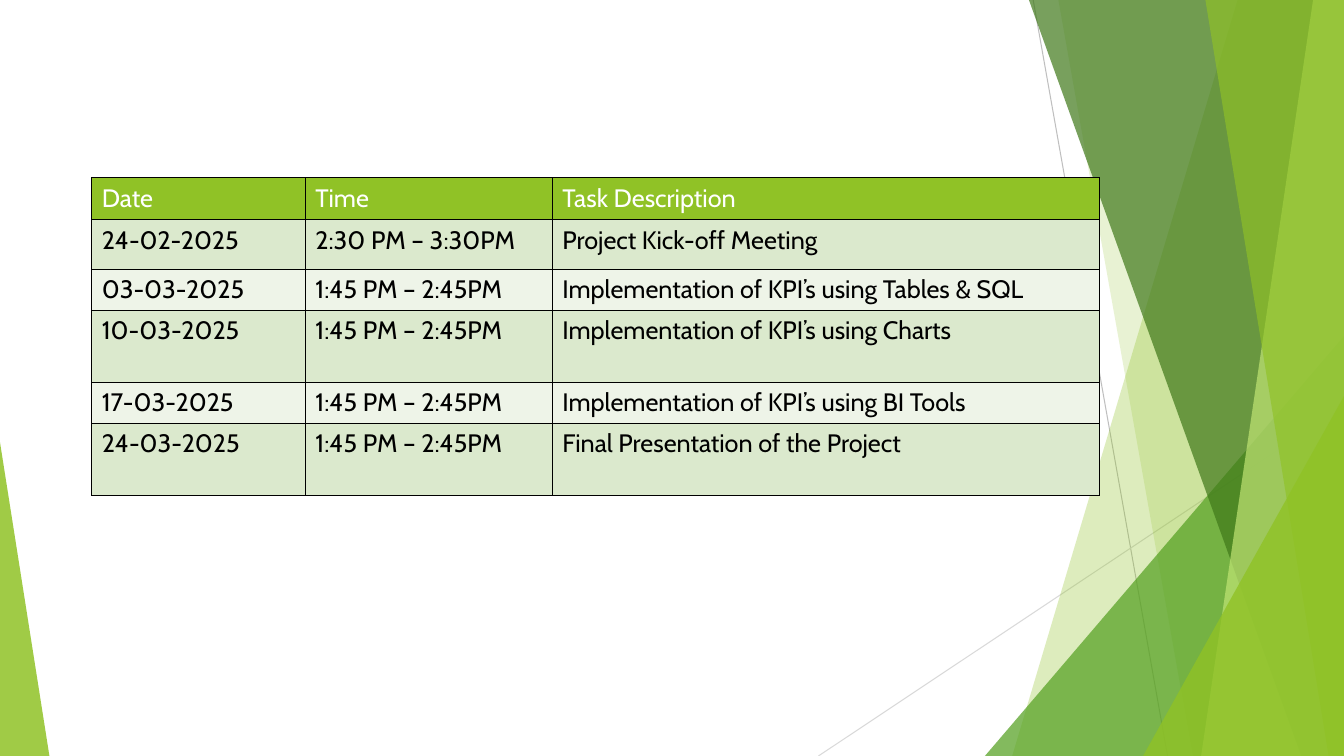
from lxml import etree
from pptx import Presentation
from pptx.dml.color import RGBColor
from pptx.enum import shapes
from pptx.oxml import ns
from pptx.util import Pt

WHITE = RGBColor(0xFF, 0xFF, 0xFF)
BLACK = RGBColor(0x00, 0x00, 0x00)
LIME = RGBColor(0x90, 0xC2, 0x26)
PALE_LIME = RGBColor(0xC0, 0xE4, 0x74)
GREEN = RGBColor(0x54, 0xA0, 0x21)
DARK_GREEN = RGBColor(0x3F, 0x78, 0x19)
BAND_DARK = RGBColor(0xDB, 0xE9, 0xCD)
BAND_LIGHT = RGBColor(0xEE, 0xF4, 0xE8)
GREY = RGBColor(0xBF, 0xBF, 0xBF)
LIGHT_GREY = RGBColor(0xD9, 0xD9, 0xD9)

FONT = "Cabin"
WIDTH, HEIGHT = 960, 540
AFTERNOON = "1:45 PM – 2:45PM"
SCHEDULE = [
    ("Date", "Time", "Task Description"),
    ("24-02-2025", "2:30 PM – 3:30PM", "Project Kick-off Meeting"),
    ("03-03-2025", AFTERNOON, "Implementation of KPI’s using Tables & SQL"),
    ("10-03-2025", AFTERNOON, "Implementation of KPI’s using Charts"),
    ("17-03-2025", AFTERNOON, "Implementation of KPI’s using BI Tools"),
    ("24-03-2025", AFTERNOON, "Final Presentation of the Project"),
]
COLUMN_WIDTHS = [152.6, 176.4, 391]
ROW_HEIGHTS = [30, 35.5, 29.3, 51.4, 29.3, 51.4]


def add_line(slide, start, end, color):
    connector = slide.shapes.add_connector(
        shapes.MSO_CONNECTOR.STRAIGHT, *(Pt(value) for value in start + end))
    connector.line.color.rgb = color
    connector.line.width = Pt(0.75)
    etree.SubElement(connector._element.spPr, ns.qn("a:effectLst"))


def paint(shape, color, opacity):
    shape.shadow.inherit = False
    shape.line.fill.background()
    shape.fill.solid()
    shape.fill.fore_color.rgb = color
    color_element = shape._element.spPr.find(".//" + ns.qn("a:srgbClr"))
    etree.SubElement(color_element, ns.qn("a:alpha"), val=str(opacity * 1000))


def add_ribbon(slide, top_left, bottom_left, color, opacity):
    builder = slide.shapes.build_freeform(Pt(top_left), 0)
    corners = [(WIDTH, 0), (WIDTH, HEIGHT), (bottom_left, HEIGHT)]
    builder.add_line_segments([(Pt(x), Pt(y)) for x, y in corners], close=True)
    paint(builder.convert_to_shape(), color, opacity)


def add_corner(slide, left, top, width, apex, color, opacity):
    shape = slide.shapes.add_shape(
        shapes.MSO_SHAPE.ISOSCELES_TRIANGLE,
        Pt(left), Pt(top), Pt(width), Pt(HEIGHT - top))
    shape.adjustments[0] = apex
    paint(shape, color, opacity)


def add_borders(cell):
    properties = cell._tc.get_or_add_tcPr()
    for side in ("lnL", "lnR", "lnT", "lnB"):
        border = etree.SubElement(properties, ns.qn("a:" + side), w=str(Pt(1)))
        fill = etree.SubElement(border, ns.qn("a:solidFill"))
        etree.SubElement(fill, ns.qn("a:srgbClr"), val=str(BLACK))


def fill_cell(cell, words, background, color):
    add_borders(cell)
    cell.fill.solid()
    cell.fill.fore_color.rgb = background
    paragraph = cell.text_frame.paragraphs[0]
    paragraph.text = words
    paragraph.font.name = FONT
    paragraph.font.size = Pt(18)
    paragraph.font.bold = False
    paragraph.font.color.rgb = color


def add_schedule(slide, left, top):
    table = slide.shapes.add_table(
        len(SCHEDULE), len(COLUMN_WIDTHS), Pt(left), Pt(top),
        Pt(sum(COLUMN_WIDTHS)), Pt(sum(ROW_HEIGHTS))).table
    table.first_row = False
    table.horz_banding = False
    for column, width in zip(table.columns, COLUMN_WIDTHS):
        column.width = Pt(width)
    for index, (row, height) in enumerate(zip(table.rows, ROW_HEIGHTS)):
        row.height = Pt(height)
        background = BAND_DARK if index % 2 else BAND_LIGHT
        color = BLACK
        if index == 0:
            background, color = LIME, WHITE
        for cell, words in zip(row.cells, SCHEDULE[index]):
            fill_cell(cell, words, background, color)


def main():
    presentation = Presentation()
    presentation.slide_width = Pt(WIDTH)
    presentation.slide_height = Pt(HEIGHT)
    slide = presentation.slides.add_slide(presentation.slide_layouts[6])

    add_line(slide, (738, 0), (834, HEIGHT), GREY)
    add_line(slide, (WIDTH, 290), (584.6, HEIGHT), LIGHT_GREY)
    add_ribbon(slide, 884, 723, LIME, 30)
    add_ribbon(slide, 756, 852, LIME, 20)
    add_corner(slide, 703.5, 240, 256.5, 1, GREEN, 72)
    add_ribbon(slide, 735, 929.5, DARK_GREEN, 70)
    add_ribbon(slide, 938, 858, PALE_LIME, 70)
    add_ribbon(slide, 861, 949, LIME, 65)
    add_corner(slide, 816.5, 283, 143.5, 1, LIME, 80)
    add_corner(slide, 0, 316, 35.3, 0, LIME, 85)
    add_schedule(slide, 65.5, 127)

    presentation.save("out.pptx")


if __name__ == "__main__":
    main()
